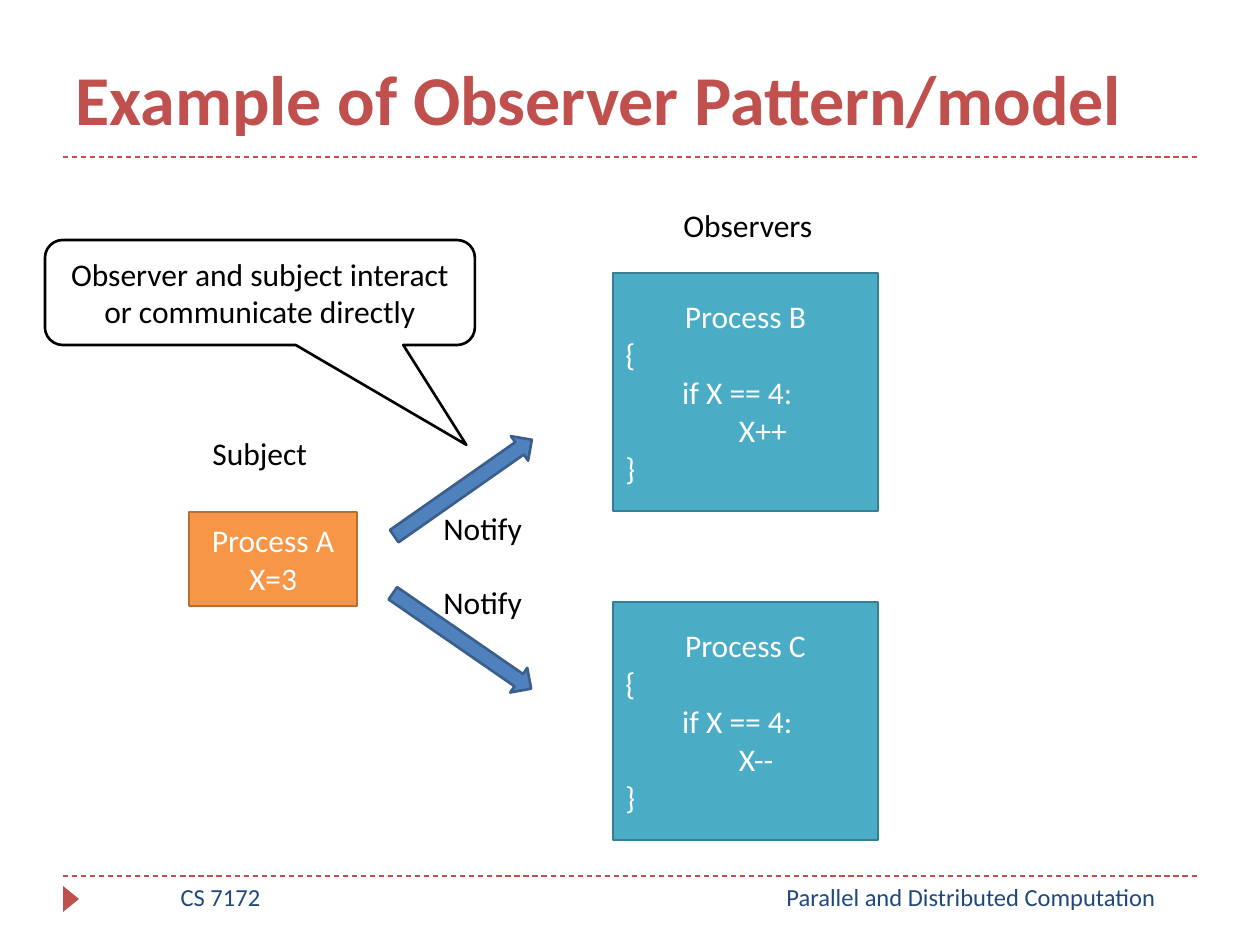
from lxml import etree
from pptx import Presentation
from pptx.dml.color import RGBColor
from pptx.enum.dml import MSO_LINE
from pptx.enum.shapes import MSO_CONNECTOR, MSO_SHAPE
from pptx.enum.text import MSO_ANCHOR, PP_ALIGN
from pptx.oxml.ns import qn
from pptx.util import Emu, Pt

LEFT, CENTER = PP_ALIGN.LEFT, PP_ALIGN.CENTER
TOP, MIDDLE, BOTTOM = MSO_ANCHOR.TOP, MSO_ANCHOR.MIDDLE, MSO_ANCHOR.BOTTOM
RECTANGLE, ARROW = MSO_SHAPE.RECTANGLE, MSO_SHAPE.RIGHT_ARROW
TRIANGLE = MSO_SHAPE.ISOSCELES_TRIANGLE
CALLOUT = MSO_SHAPE.ROUNDED_RECTANGULAR_CALLOUT
STRAIGHT, DASH = MSO_CONNECTOR.STRAIGHT, MSO_LINE.DASH

RED = RGBColor(0xC0, 0x50, 0x4D)
NAVY = RGBColor(0x1F, 0x49, 0x7D)
BLACK = RGBColor(0, 0, 0)
WHITE = RGBColor(0xFF, 0xFF, 0xFF)
ORANGE = RGBColor(0xF7, 0x96, 0x46)
ORANGE_EDGE = RGBColor(0xB7, 0x6F, 0x34)
TEAL = RGBColor(0x4B, 0xAC, 0xC6)
TEAL_EDGE = RGBColor(0x37, 0x7F, 0x92)
BLUE = RGBColor(0x4F, 0x81, 0xBD)
BLUE_EDGE = RGBColor(0x3A, 0x5F, 0x8C)

PX = 914400 / 126


def px(*lengths):
    return [Emu(round(length * PX)) for length in lengths]


def write(shape, text, size, color, anchor, alignment, wrap=True, bold=False):
    text_frame = shape.text_frame
    text_frame.text = text
    text_frame.word_wrap = wrap
    text_frame.vertical_anchor = anchor
    for paragraph in text_frame.paragraphs:
        paragraph.alignment = alignment
        for run in paragraph.runs:
            run.font.name = "Calibri"
            run.font.size = Pt(size)
            run.font.bold = bold
            run.font.color.rgb = color


presentation = Presentation()
presentation.slide_width, presentation.slide_height = px(1260, 945)
slide = presentation.slides.add_slide(presentation.slide_layouts[5])
shapes = slide.shapes

for y in (876, 157):
    rule = shapes.add_connector(STRAIGHT, *px(63, y, 1197, y))
    rule.line.color.rgb = RED
    rule.line.width = Pt(0.75)
    rule.line.dash_style = DASH
    etree.SubElement(rule._element.spPr, qn("a:effectLst"))

marker = shapes.add_shape(TRIANGLE, *px(58, 891, 26, 16))
marker.rotation = 90
marker.shadow.inherit = False
marker.fill.solid()
marker.fill.fore_color.rgb = RED
marker.line.fill.background()

title = shapes.title
title.left, title.top, title.width, title.height = px(63, 10, 1134, 136)
write(title, "Example of Observer Pattern/model", 40, RED, BOTTOM, LEFT, bold=True)

for text, x, width in (
    ("Parallel and Distributed Computation", 745, 452),
    ("CS 7172", 84, 273),
):
    footer = shapes.add_textbox(*px(x, 876, width, 50))
    write(footer, text, 14, NAVY, TOP, CENTER)

for angle, x, y in ((34.6, 378, 626), (325, 379, 473)):
    arrow = shapes.add_shape(ARROW, *px(x, y, 168, 30))
    arrow.rotation = angle
    arrow.shadow.inherit = False
    arrow.fill.solid()
    arrow.fill.fore_color.rgb = BLUE
    arrow.line.color.rgb = BLUE_EDGE
    arrow.line.width = Pt(1.5)

code = "\n{\n        if X == 4:\n                X%s\n}"
for text, x, y, width, height, fill, edge in (
    ("Process A\nX=3", 189, 512, 168, 94, ORANGE, ORANGE_EDGE),
    ("Process B" + code % "++", 613, 273, 265, 238, TEAL, TEAL_EDGE),
    ("Process C" + code % "--", 613, 602, 265, 238, TEAL, TEAL_EDGE),
):
    process = shapes.add_shape(RECTANGLE, *px(x, y, width, height))
    process.shadow.inherit = False
    process.fill.solid()
    process.fill.fore_color.rgb = fill
    process.line.color.rgb = edge
    process.line.width = Pt(1.5)
    write(process, text, 18, WHITE, MIDDLE, CENTER)
    if "{" in text:
        for paragraph in process.text_frame.paragraphs[1:]:
            paragraph.alignment = LEFT

for text, x, y, width in (
    ("Observers", 671, 200, 155),
    ("Subject", 200, 428, 121),
    ("Notify", 431, 503, 105),
    ("Notify", 431, 577, 105),
):
    label = shapes.add_textbox(*px(x, y, width, 50))
    write(label, text, 18, BLACK, TOP, LEFT, wrap=False)

callout = shapes.add_shape(CALLOUT, *px(45, 240, 430, 105))
for index, value in enumerate((0.48, 1.45, 0.17)):
    callout.adjustments[index] = value
callout.shadow.inherit = False
callout.fill.background()
callout.line.color.rgb = BLACK
callout.line.width = Pt(1.5)
write(callout, "Observer and subject interact or communicate directly",
      18, BLACK, MIDDLE, CENTER)

presentation.save("out.pptx")
